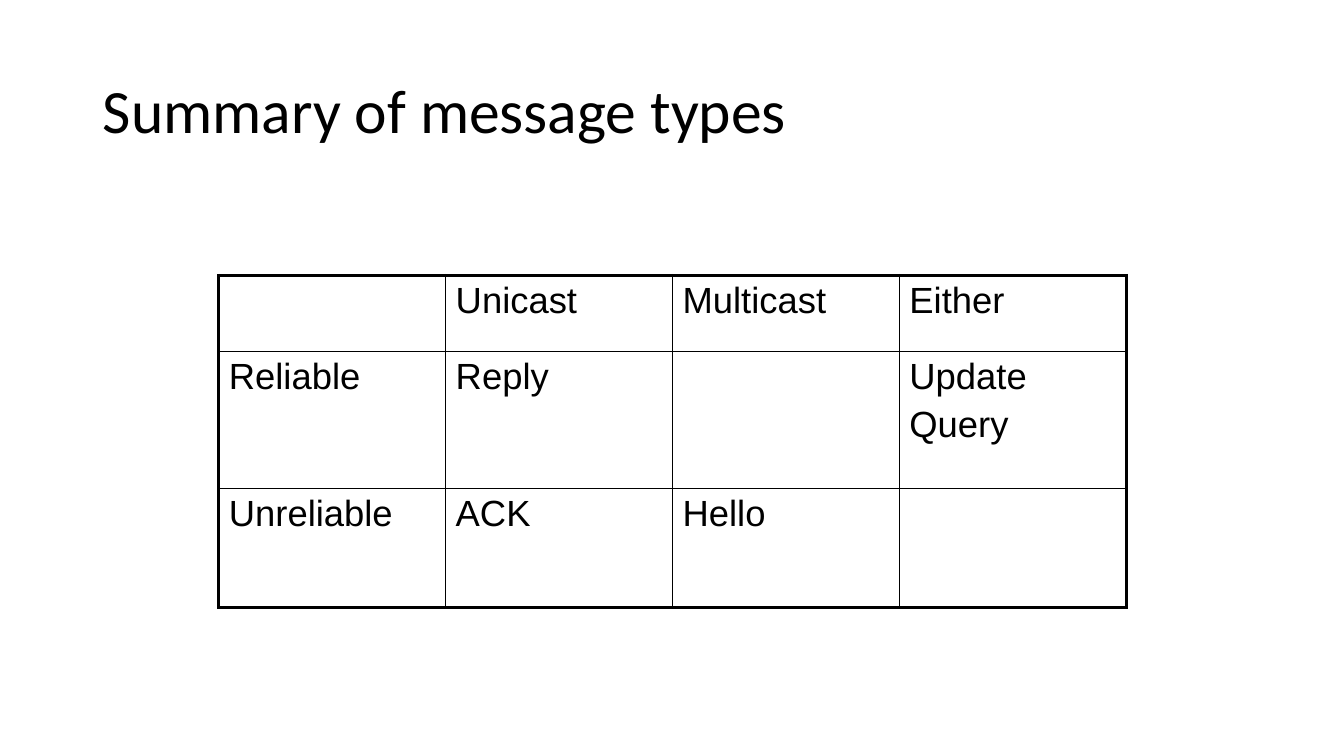
from dataclasses import dataclass

from lxml import etree
from pptx import Presentation
from pptx.dml.color import RGBColor
from pptx.enum.text import MSO_ANCHOR, PP_ALIGN
from pptx.oxml.ns import qn
from pptx.util import Inches, Pt

LEFT = PP_ALIGN.LEFT
MIDDLE = MSO_ANCHOR.MIDDLE
TITLE_ONLY = 5
COLORS = {"text": "000000", "border": "000000"}
OUTER, INNER = 2.25, 1


@dataclass
class TextStyle:
    font: str
    size: float
    color: str = COLORS["text"]


@dataclass
class MessageRow:
    height: float
    cells: tuple[str, ...]


TITLE_STYLE = TextStyle("Calibri", 44)
CELL_STYLE = TextStyle("Arial", 26)
COLUMN_WIDTH = 2.25
ROWS = [
    MessageRow(0.76, ("", "Unicast", "Multicast", "Either")),
    MessageRow(1.36, ("Reliable", "Reply", "", "Update\nQuery")),
    MessageRow(1.18, ("Unreliable", "ACK", "Hello", "")),
]


def style_text(tf, style: TextStyle) -> None:
    for p in tf.paragraphs:
        for r in p.runs:
            r.font.name = style.font
            r.font.size = Pt(style.size)
            r.font.color.rgb = RGBColor.from_string(style.color)


def set_borders(cell, widths: dict[str, float]) -> None:
    """Line elements come before the fill in the cell properties."""
    tc_pr = cell._tc.get_or_add_tcPr()
    for i, (side, width) in enumerate(widths.items()):
        ln = etree.Element(qn(f"a:ln{side}"), w=str(Pt(width)))
        fill = etree.SubElement(ln, qn("a:solidFill"))
        etree.SubElement(fill, qn("a:srgbClr"), val=COLORS["border"])
        tc_pr.insert(i, ln)


def add_title(s, text: str) -> None:
    sp = s.shapes.title
    sp.left, sp.top = Inches(0.92), Inches(0.4)
    sp.width, sp.height = Inches(11.5), Inches(1.45)
    tf = sp.text_frame
    tf.text = text
    tf.vertical_anchor = MIDDLE
    p = tf.paragraphs[0]
    p.alignment = LEFT
    p.line_spacing = 0.9
    style_text(tf, TITLE_STYLE)


def add_message_table(s, rows: list[MessageRow]) -> None:
    n_rows, n_cols = len(rows), len(rows[0].cells)
    table = s.shapes.add_table(
        n_rows, n_cols, Inches(2.17), Inches(2.73),
        Inches(COLUMN_WIDTH * n_cols), Inches(sum(row.height for row in rows)),
    ).table
    table.first_row = table.horz_banding = False
    for column in table.columns:
        column.width = Inches(COLUMN_WIDTH)
    for i, row in enumerate(rows):
        table.rows[i].height = Inches(row.height)
        for j, text in enumerate(row.cells):
            cell = table.cell(i, j)
            cell.fill.background()
            tf = cell.text_frame
            tf.text = text
            for p in tf.paragraphs[1:]:
                p.space_before = Pt(5.2)
            style_text(tf, CELL_STYLE)
            # Thick frame around the table, thin lines inside
            set_borders(cell, {
                "L": OUTER if j == 0 else INNER,
                "R": OUTER if j == n_cols - 1 else INNER,
                "T": OUTER if i == 0 else INNER,
                "B": OUTER if i == n_rows - 1 else INNER,
            })


def main() -> None:
    prs = Presentation()
    prs.slide_width, prs.slide_height = Inches(13.33), Inches(7.5)
    s = prs.slides.add_slide(prs.slide_layouts[TITLE_ONLY])
    add_title(s, "Summary of message types")
    add_message_table(s, ROWS)
    prs.save("out.pptx")


if __name__ == "__main__":
    main()
